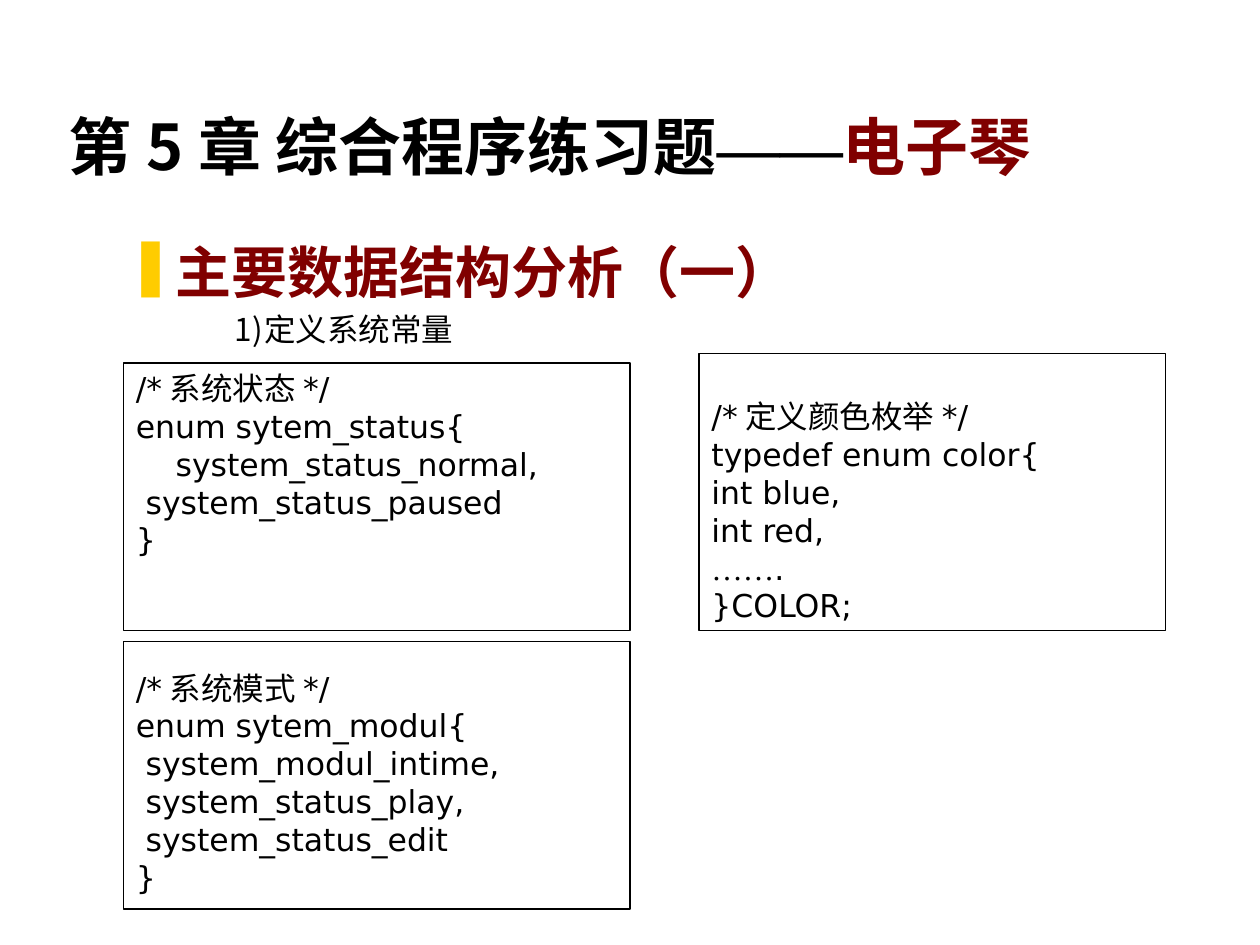
from dataclasses import dataclass

from lxml import etree
from pptx import Presentation
from pptx.dml.color import RGBColor
from pptx.enum.shapes import MSO_SHAPE
from pptx.enum.text import MSO_ANCHOR, PP_ALIGN
from pptx.oxml.ns import qn
from pptx.util import Pt

RECT = MSO_SHAPE.RECTANGLE
TOP, BOTTOM = MSO_ANCHOR.TOP, MSO_ANCHOR.BOTTOM
LEFT, JUSTIFY = PP_ALIGN.LEFT, PP_ALIGN.JUSTIFY

BLACK = RGBColor(0x00, 0x00, 0x00)
WHITE = RGBColor(0xFF, 0xFF, 0xFF)
MAROON = RGBColor(0x80, 0x00, 0x00)
YELLOW = RGBColor(0xFF, 0xCC, 0x00)

CODE, CJK, SERIF, HEADING = "DejaVu Sans", "Noto Sans CJK SC", "Times New Roman", "Lato"
INSET_X, INSET_Y = 7.2, 3.6
SPACE = 5.7  # width of one space in the code font


@dataclass
class CodeBox:
    left: float
    top: float
    width: float
    height: float
    gap: float  # extra room above the first line
    comment: str
    lines: list[tuple[str, int]]  # text, indent in spaces


def add_text(p, text: str, *, font: str = CODE, size: float = 18,
             color: RGBColor = BLACK, bold: bool = False) -> None:
    r = p.add_run()
    r.text = text
    r.font.name, r.font.size, r.font.bold = font, Pt(size), bold
    r.font.color.rgb = color
    ea = etree.SubElement(r._r.get_or_add_rPr(), qn("a:ea"))
    ea.set("typeface", font)


def set_indent(p, margin: float, first: float = 0) -> None:
    pPr = p._p.get_or_add_pPr()
    pPr.set("marL", str(Pt(margin)))
    pPr.set("indent", str(Pt(first)))


def set_bullet(p, color: RGBColor, tag: str, font: str = "", **attrs: str) -> None:
    pPr = p._p.get_or_add_pPr()
    clr = etree.SubElement(pPr, qn("a:buClr"))
    etree.SubElement(clr, qn("a:srgbClr")).set("val", str(color))
    if font:
        etree.SubElement(pPr, qn("a:buFont")).set("typeface", font)
    etree.SubElement(pPr, qn(tag), attrs)


def set_frame(tf, anchor=TOP, gap: float = 0) -> None:
    tf.word_wrap = True
    tf.vertical_anchor = anchor
    tf.margin_left = tf.margin_right = Pt(INSET_X)
    tf.margin_top, tf.margin_bottom = Pt(INSET_Y + gap), Pt(INSET_Y)


def add_text_box(s, left: float, top: float, width: float, height: float, anchor=TOP):
    tf = s.shapes.add_textbox(Pt(left), Pt(top), Pt(width), Pt(height)).text_frame
    set_frame(tf, anchor)
    return tf.paragraphs[0]


def add_code_box(s, box: CodeBox) -> None:
    sp = s.shapes.add_shape(RECT, Pt(box.left), Pt(box.top), Pt(box.width), Pt(box.height))
    sp.shadow.inherit = False
    sp.fill.solid()
    sp.fill.fore_color.rgb = WHITE
    sp.line.color.rgb = BLACK
    sp.line.width = Pt(0.75)
    tf = sp.text_frame
    set_frame(tf, gap=box.gap)
    p = tf.paragraphs[0]
    p.alignment = LEFT
    add_text(p, "/*")
    add_text(p, box.comment, font=CJK)
    add_text(p, "*/")
    for text, spaces in box.lines:
        p = tf.add_paragraph()
        p.alignment = LEFT
        set_indent(p, spaces * SPACE)
        dots = text.count("…")
        if dots:
            add_text(p, text[:dots], font=SERIF)
        add_text(p, text[dots:])


CODE_BOXES = [
    CodeBox(70.5, 207.5, 289.5, 153, 0, "系统状态", [
        ("enum sytem_status{", 0), ("system_status_normal,", 4),
        ("system_status_paused", 1), ("}", 0)]),
    CodeBox(70.5, 366.5, 289.5, 153, 12, "系统模式", [
        ("enum sytem_modul{", 0), ("system_modul_intime,", 1),
        ("system_status_play,", 1), ("system_status_edit", 1), ("}", 0)]),
    CodeBox(399.5, 202, 266.5, 158.5, 21.5, "定义颜色枚举", [
        ("typedef enum color{", 0), ("int blue,", 0), ("int red,", 0),
        ("…….", 0), ("}COLOR;", 0)]),
]


def main() -> None:
    prs = Presentation()
    prs.slide_width, prs.slide_height = Pt(720), Pt(540)
    s = prs.slides.add_slide(prs.slide_layouts[6])

    # Title
    p = add_text_box(s, 32, 18, 612, 90, BOTTOM)
    add_text(p, "第5章 综合程序练习题", font=CJK, size=36, bold=True)
    add_text(p, "——", font=SERIF, size=36, bold=True)
    add_text(p, "电子琴", font=CJK, size=36, color=MAROON, bold=True)

    # Section heading
    p = add_text_box(s, 66, 132, 636, 49.5)
    p.alignment = JUSTIFY
    p.space_before = Pt(8)
    set_indent(p, 27, -27)
    set_bullet(p, YELLOW, "a:buChar", char="❚")
    add_text(p, "主要数据结构分析（一）", font=HEADING, size=32, color=MAROON, bold=True)

    # Code boxes
    for box in CODE_BOXES:
        add_code_box(s, box)

    # Numbered caption
    p = add_text_box(s, 0, 173.5, 312, 50.5)
    set_indent(p, 144, -17)
    set_bullet(p, BLACK, "a:buAutoNum", font=CJK, type="arabicParenR")
    add_text(p, "定义系统常量", font=CJK)

    prs.save("out.pptx")


if __name__ == "__main__":
    main()
